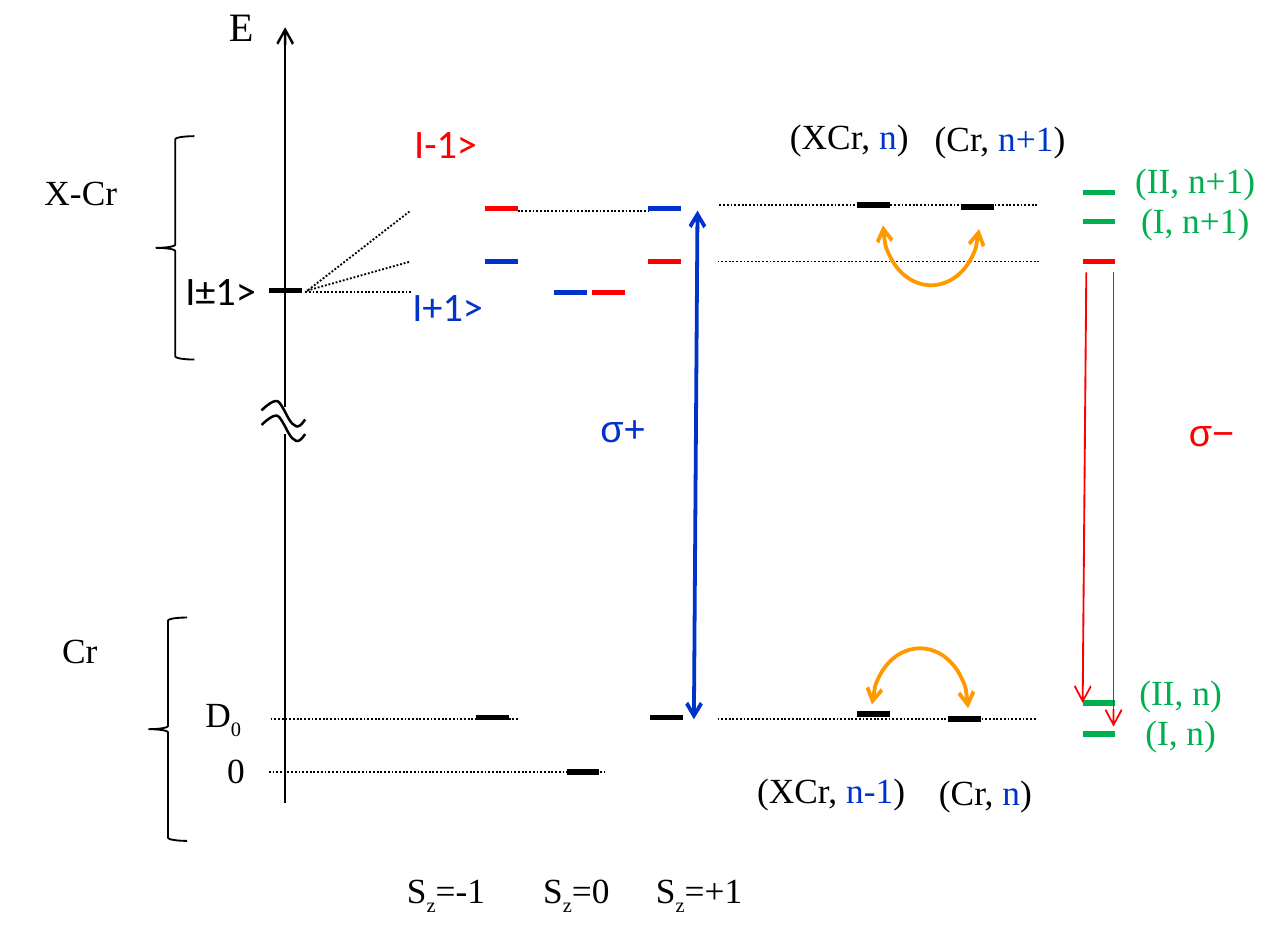
from typing import NamedTuple

from lxml import etree
from pptx import Presentation
from pptx import util as u
from pptx.dml import color
from pptx.enum import dml, shapes, text
from pptx.oxml import ns

BLACK, RED, BLUE = "000000", "FF0000", "0033CC"
GREEN, ORANGE = "00B050", "FF9900"
SERIF = "Times New Roman"
TICK = 0.18


class Level(NamedTuple):
    x: float
    y: float
    hue: str = BLACK
    weight: float = 2.25


class Line(NamedTuple):
    x1: float
    y1: float
    x2: float
    y2: float
    hue: str = BLACK
    weight: float = 0.75
    dots: bool = False
    ends: tuple[str, ...] = ()


class Brace(NamedTuple):
    x: float
    y: float


class Arc(NamedTuple):
    x: float
    y: float
    turn: float = 0


class Bit(NamedTuple):
    words: str
    hue: str = ""
    sub: bool = False


class Label(NamedTuple):
    x: float
    y: float
    width: float
    bits: tuple[Bit, ...]
    hue: str = BLACK
    size: float = 14
    face: str = SERIF
    middle: bool = False


def spin(x: float, width: float, value: str) -> Label:
    return Label(x, 4.73, width, (Bit("S"), Bit("z", sub=True), Bit(value)))


def state(x: float, y: float, name: str, count: str) -> Label:
    bits = Bit(f"({name}, "), Bit(count, BLUE), Bit(")")
    return Label(x, y, 1.41, bits, middle=True)


def dressed(x: float, y: float, words: str) -> Label:
    return Label(x, y, 0.86, (Bit(words),), GREEN, middle=True)


def ket(x: float, y: float, width: float, words: str, hue: str) -> Label:
    return Label(x, y, width, (Bit(words),), hue, 16, "Calibri")


DOTTED = [
    (1.68, 1.61, 2.26, 1.16), (1.69, 1.6, 2.26, 1.44), (1.68, 1.61, 2.26, 1.61),
    (2.85, 1.16, 3.57, 1.16), (1.49, 3.96, 2.86, 3.96), (1.48, 4.25, 3.33, 4.25),
    (3.95, 3.96, 5.71, 3.96), (3.96, 1.13, 5.72, 1.13), (3.95, 1.44, 5.73, 1.44),
]
LEVELS = [
    Level(1.48, 1.6), Level(2.62, 3.95), Level(3.12, 4.25), Level(3.58, 3.95),
    Level(4.72, 1.13), Level(5.29, 1.14), Level(4.72, 3.93), Level(5.22, 3.96),
    Level(3.57, 1.15, BLUE, 2), Level(3.05, 1.61, BLUE, 2), Level(2.67, 1.44, BLUE, 2),
    Level(2.67, 1.15, RED, 2), Level(3.26, 1.61, RED, 2), Level(3.57, 1.44, RED, 2),
    Level(5.96, 1.44, RED, 2),
    *(Level(5.96, y, GREEN) for y in (1.06, 1.22, 3.87, 4.04)),
]
LINES = [
    Line(1.57, 4.42, 1.57, 2.39, weight=1),
    Line(1.57, 2.24, 1.57, 0.15, weight=1, ends=("tailEnd",)),
    Line(3.84, 1.16, 3.82, 3.96, BLUE, 1.5, ends=("headEnd", "tailEnd")),
    Line(5.98, 1.5, 5.96, 3.87, RED, ends=("tailEnd",)),
    Line(6.13, 1.5, 6.13, 4, RED, ends=("tailEnd",)),
]
BRACES = [Brace(0.86, 0.75), Brace(0.82, 3.4)]
ARCS = [Arc(4.86, 0.91, 180), Arc(4.8, 3.57)]
WAVE = [
    ((1.44, 2.26), (1.47, 2.23), (1.51, 2.2), (1.53, 2.21)),
    ((1.53, 2.21), (1.56, 2.23), (1.59, 2.33), (1.62, 2.34)),
    ((1.62, 2.34), (1.64, 2.36), (1.66, 2.34), (1.68, 2.31)),
]
LABELS = [
    Label(1.17, -0.04, 0.32, (Bit("E"),), size=16),
    ket(0.93, 1.41, 0.61, "I±1>", BLACK),
    ket(2.19, 0.6, 0.57, "I-1>", RED),
    ket(2.18, 1.5, 0.61, "I+1>", BLUE),
    Label(2.99, 2.18, 0.88, (Bit("σ+"),), BLUE, 15, "Arial", True),
    Label(6.25, 2.2, 0.84, (Bit("σ−"),), RED, 15, "Arial", True),
    spin(2.15, 0.66, "=-1"), spin(2.9, 0.6, "=0"), spin(3.52, 0.71, "=+1"),
    Label(1.04, 3.76, 0.41, (Bit("D"), Bit("0", sub=True))),
    Label(1.16, 4.07, 0.3, (Bit("0"),)),
    Label(-0.08, 0.89, 1.05, (Bit("X-Cr"),), middle=True),
    Label(0.16, 3.41, 0.56, (Bit("Cr"),), middle=True),
    state(3.87, 4.18, "XCr", "n-1"), state(4.72, 4.19, "Cr", "n"),
    state(4.8, 0.59, "Cr", "n+1"), state(3.97, 0.58, "XCr", "n"),
    dressed(6.07, 3.86, "(I, n)"), dressed(6.07, 3.64, "(II, n)"),
    dressed(6.15, 1.04, "(I, n+1)"), dressed(6.15, 0.82, "(II, n+1)"),
]


def paint(target, hue: str) -> None:
    target.rgb = color.RGBColor.from_string(hue)


def stroke(shape, hue: str, weight: float, ends: tuple[str, ...] = ()) -> None:
    shape.line.fill.solid()
    paint(shape.line.fill.fore_color, hue)
    shape.line.width = u.Pt(weight)
    edge = shape._element.spPr.find(ns.qn("a:ln"))
    for end in ends:
        etree.SubElement(edge, ns.qn(f"a:{end}"), type="arrow")


def draw_line(slide, item: Line) -> None:
    ends = [u.Inches(v) for v in item[:4]]
    line = slide.shapes.add_connector(shapes.MSO_CONNECTOR.STRAIGHT, *ends)
    if item.dots:
        line.line.dash_style = dml.MSO_LINE.ROUND_DOT
    stroke(line, item.hue, item.weight, item.ends)
    etree.SubElement(line._element.spPr, ns.qn("a:effectLst"))


def draw_brace(slide, item: Brace) -> None:
    box = [u.Inches(v) for v in (item.x, item.y, 0.21, 1.23)]
    brace = slide.shapes.add_shape(shapes.MSO_SHAPE.LEFT_BRACE, *box)
    brace.shadow.inherit = False
    brace.fill.background()
    stroke(brace, BLACK, 0.75)


def draw_arc(slide, item: Arc) -> None:
    box = [u.Inches(v) for v in (item.x, item.y, 0.53, 0.66)]
    arc = slide.shapes.add_shape(shapes.MSO_SHAPE.ARC, *box)
    arc.adjustments[0], arc.adjustments[1] = 110.71, 0
    arc.rotation = item.turn
    arc.shadow.inherit = False
    arc.fill.background()
    stroke(arc, ORANGE, 1.5, ("headEnd", "tailEnd"))


def draw_wave(slide, drop: float) -> None:
    points = []
    for curve in WAVE:
        for t in (step / 8 for step in range(9)):
            mix = ((1 - t) ** 3, 3 * t * (1 - t) ** 2, 3 * t * t * (1 - t), t ** 3)
            x, y = (sum(m * p[axis] for m, p in zip(mix, curve)) for axis in (0, 1))
            points.append((u.Inches(x), u.Inches(y + drop)))
    outline = slide.shapes.build_freeform(*points[0])
    outline.add_line_segments(points[1:], close=False)
    wave = outline.convert_to_shape()
    wave.shadow.inherit = False
    wave.fill.background()
    stroke(wave, BLACK, 1)


def draw_label(slide, item: Label) -> None:
    box = [u.Inches(v) for v in (item.x, item.y, item.width, 0.35)]
    frame = slide.shapes.add_textbox(*box).text_frame
    frame.word_wrap = item.middle
    frame.auto_size = text.MSO_AUTO_SIZE.SHAPE_TO_FIT_TEXT
    frame.margin_left = frame.margin_right = u.Inches(0.09)
    para = frame.paragraphs[0]
    para.alignment = text.PP_ALIGN.CENTER if item.middle else text.PP_ALIGN.LEFT
    para.font.name, para.font.size = item.face, u.Pt(item.size)
    paint(para.font.color, item.hue)
    for bit in item.bits:
        run = para.add_run()
        run.text = bit.words
        if bit.hue:
            paint(run.font.color, bit.hue)
        if bit.sub:
            run._r.get_or_add_rPr().set("baseline", "-25000")


def main() -> None:
    deck = Presentation()
    deck.slide_width, deck.slide_height = u.Inches(7.09), u.Inches(5.12)
    slide = deck.slides.add_slide(deck.slide_layouts[6])
    dotted = [Line(*ends, dots=True) for ends in DOTTED]
    ticks = [Line(v.x, v.y, v.x + TICK, v.y, v.hue, v.weight) for v in LEVELS]
    for line in dotted + ticks + LINES:
        draw_line(slide, line)
    for brace in BRACES:
        draw_brace(slide, brace)
    for drop in (0, 0.08):
        draw_wave(slide, drop)
    for arc in ARCS:
        draw_arc(slide, arc)
    for label in LABELS:
        draw_label(slide, label)
    deck.save("out.pptx")


if __name__ == "__main__":
    main()
